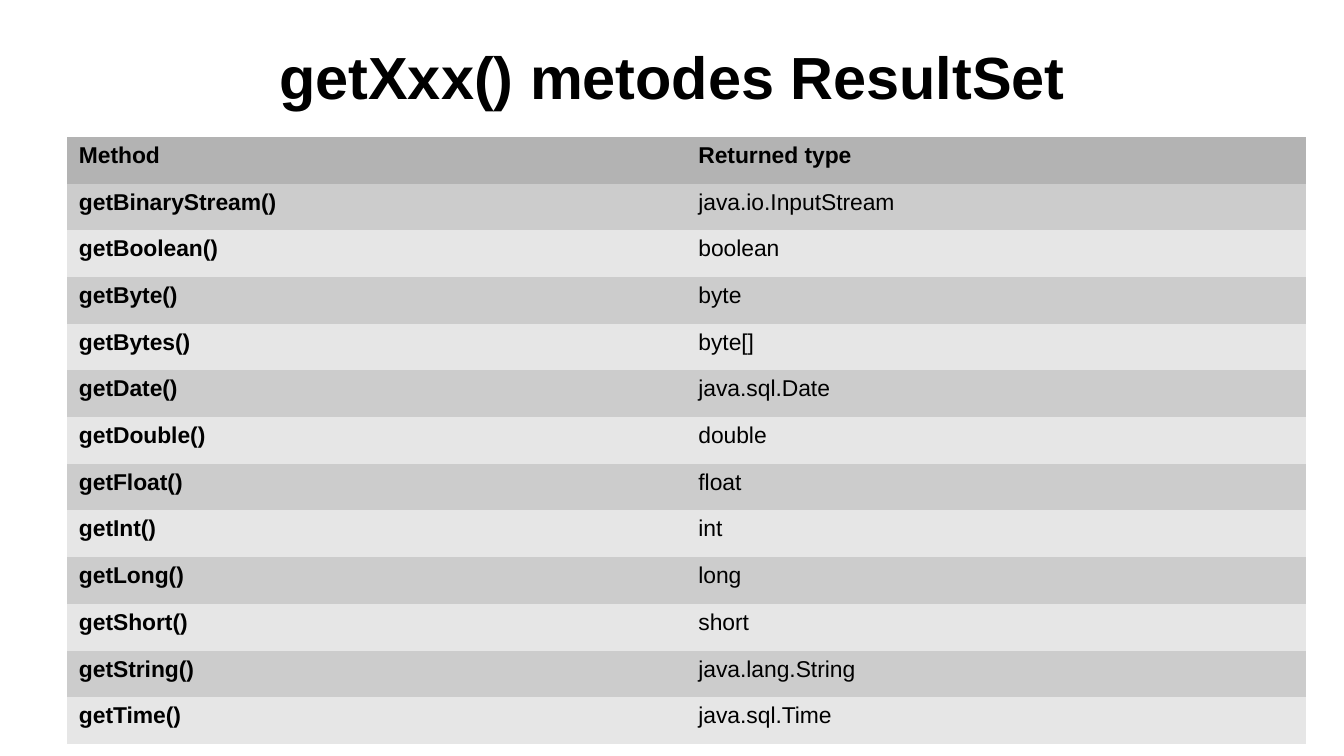
"""Build a slide listing the ResultSet getter methods and their returned types."""
import pptx
import pptx.dml.color
import pptx.enum.text
import pptx.oxml.ns
import pptx.util

PX = 914400 / 122
COLORS = {"text": "000000", "header": "B3B3B3", "odd": "CCCCCC", "even": "E6E6E6"}
NO_STYLE = "{2D5ABB26-0587-4C30-8999-92F81FD0307C}"
ROWS = [
    ("Method", "Returned type"),
    ("getBinaryStream()", "java.io.InputStream"),
    ("getBoolean()", "boolean"),
    ("getByte()", "byte"),
    ("getBytes()", "byte[]"),
    ("getDate()", "java.sql.Date"),
    ("getDouble()", "double"),
    ("getFloat()", "float"),
    ("getInt()", "int"),
    ("getLong()", "long"),
    ("getShort()", "short"),
    ("getString()", "java.lang.String"),
    ("getTime()", "java.sql.Time"),
]


def px(n):
    return pptx.util.Emu(round(n * PX))


def write(p, text, size, bold):
    p.text = text
    p.font.name = "Arial"
    p.font.size = pptx.util.Pt(size)
    p.font.bold = bold
    p.font.color.rgb = pptx.dml.color.RGBColor.from_string(COLORS["text"])


prs = pptx.Presentation()
prs.slide_width, prs.slide_height = px(1344), px(756)
s = prs.slides.add_slide(prs.slide_layouts[6])

title = s.shapes.add_textbox(px(67), px(31), px(1210), px(89))
tf = title.text_frame
tf.word_wrap = True
tf.vertical_anchor = pptx.enum.text.MSO_ANCHOR.MIDDLE
tf.margin_left = tf.margin_right = tf.margin_top = tf.margin_bottom = 0
p = tf.paragraphs[0]
p.alignment = pptx.enum.text.PP_ALIGN.CENTER
write(p, "getXxx() metodes ResultSet", 35.1, True)

frame = s.shapes.add_table(len(ROWS), 2, px(67), px(137), px(1239), px(607))
table = frame.table
table.first_row = table.horz_banding = False
frame._element.find(".//" + pptx.oxml.ns.qn("a:tableStyleId")).text = NO_STYLE

for i, row in enumerate(ROWS):
    fill = "header" if i == 0 else "odd" if i % 2 else "even"
    for j, text in enumerate(row):
        cell = table.cell(i, j)
        cell.fill.solid()
        cell.fill.fore_color.rgb = pptx.dml.color.RGBColor.from_string(COLORS[fill])
        cell.margin_left = cell.margin_right = px(12)
        cell.margin_top = cell.margin_bottom = px(6)
        write(cell.text_frame.paragraphs[0], text, 13.5, i == 0 or j == 0)

prs.save("out.pptx")
